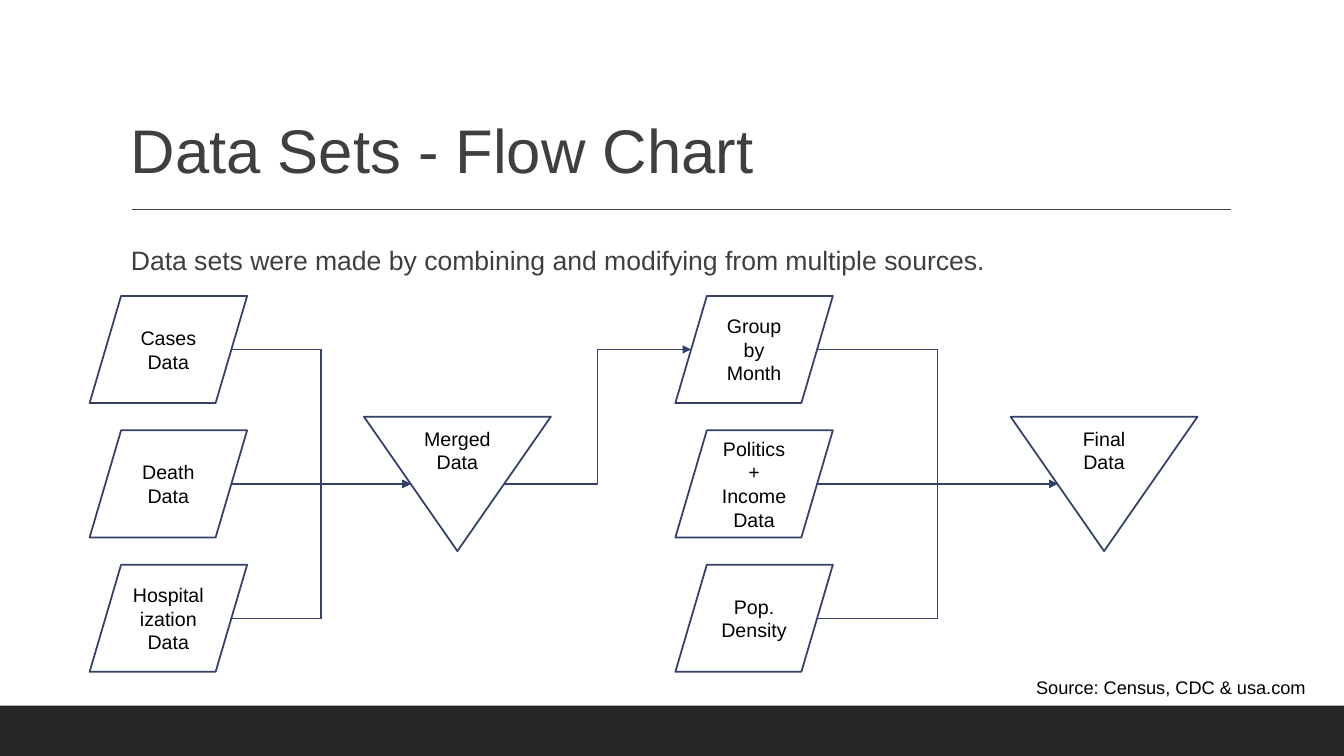
from dataclasses import dataclass

from lxml.etree import SubElement
from pptx import Presentation
from pptx.dml.color import RGBColor
from pptx.enum.shapes import MSO_CONNECTOR, MSO_SHAPE
from pptx.enum.text import MSO_ANCHOR, PP_ALIGN
from pptx.oxml.ns import qn
from pptx.shapes.connector import Connector
from pptx.slide import Slide
from pptx.text.text import TextFrame
from pptx.util import Pt

FONT = "Arial"
OUTLINE = "344068"
HEADING = "3F3F3F"
FOOTER = "262626"
BLACK = "000000"

ROW_TOP, ROW_PITCH = 211.4, 96
DATA_SIZE = (112.5, 76.5)
MERGE_SIZE = (133.5, 96)


@dataclass
class Step:
    label: str
    kind: MSO_SHAPE
    left: float
    top: float
    width: float
    height: float
    slant: float  # share of the width between the box side and the outline

    @property
    def entry(self) -> tuple[float, float]:
        return self.left + self.slant * self.width, self.top + self.height / 2

    @property
    def exit(self) -> tuple[float, float]:
        return self.left + (1 - self.slant) * self.width, self.top + self.height / 2


@dataclass
class Caption:
    text: str
    left: float
    top: float
    width: float
    height: float
    size: float
    color: str
    margin: float = 3.6
    spacing: float = 1.0
    anchor: MSO_ANCHOR = MSO_ANCHOR.TOP


def rgb(color: str) -> RGBColor:
    return RGBColor.from_string(color)


def write(frame: TextFrame, text: str, size: float, color: str,
          align: PP_ALIGN, spacing: float = 1.0) -> None:
    frame.word_wrap = True
    paragraph = frame.paragraphs[0]
    paragraph.alignment = align
    paragraph.line_spacing = spacing
    run = paragraph.add_run()
    run.text = text
    run.font.name = FONT
    run.font.size = Pt(size)
    run.font.color.rgb = rgb(color)


def add_caption(slide: Slide, caption: Caption) -> None:
    box = slide.shapes.add_textbox(Pt(caption.left), Pt(caption.top),
                                   Pt(caption.width), Pt(caption.height))
    frame = box.text_frame
    frame.margin_top = frame.margin_bottom = Pt(caption.margin)
    frame.vertical_anchor = caption.anchor
    write(frame, caption.text, caption.size, caption.color, PP_ALIGN.LEFT, caption.spacing)


def add_step(slide: Slide, step: Step) -> None:
    shape = slide.shapes.add_shape(step.kind, Pt(step.left), Pt(step.top),
                                   Pt(step.width), Pt(step.height))
    shape.shadow.inherit = False
    shape.fill.background()
    shape.line.color.rgb = rgb(OUTLINE)
    shape.line.width = Pt(1.25)
    shape.text_frame.vertical_anchor = MSO_ANCHOR.MIDDLE
    write(shape.text_frame, step.label, 14, BLACK, PP_ALIGN.CENTER)


def add_line(slide: Slide, kind: MSO_CONNECTOR, start: tuple[float, float],
             end: tuple[float, float], color: str) -> Connector:
    line = slide.shapes.add_connector(kind, *map(Pt, start + end))
    line.line.color.rgb = rgb(color)
    line.line.width = Pt(1)
    SubElement(line._element.spPr, qn("a:effectLst"))
    return line


def add_flow(slide: Slide, source: Step, target: Step) -> None:
    """Lead an elbow arrow from the right of source to the left of target."""
    arrow = add_line(slide, MSO_CONNECTOR.ELBOW, source.exit, target.entry, OUTLINE)
    SubElement(arrow.line._get_or_add_ln(), qn("a:tailEnd"), type="triangle")


def data_column(left: float, labels: list[str]) -> list[Step]:
    return [Step(label, MSO_SHAPE.FLOWCHART_DATA, left, ROW_TOP + row * ROW_PITCH,
                 *DATA_SIZE, slant=0.1)
            for row, label in enumerate(labels)]


def merge_step(left: float, label: str) -> Step:
    """Centre a merge triangle on the middle row."""
    top = ROW_TOP + ROW_PITCH + (DATA_SIZE[1] - MERGE_SIZE[1]) / 2
    return Step(label, MSO_SHAPE.FLOWCHART_MERGE, left, top, *MERGE_SIZE, slant=0.25)


def main() -> None:
    presentation = Presentation()
    presentation.slide_width, presentation.slide_height = Pt(960), Pt(540)
    slide = presentation.slides.add_slide(presentation.slide_layouts[6])

    footer = slide.shapes.add_shape(MSO_SHAPE.RECTANGLE, Pt(0), Pt(504), Pt(960), Pt(36))
    footer.shadow.inherit = False
    footer.fill.solid()
    footer.fill.fore_color.rgb = rgb(FOOTER)
    footer.line.fill.background()
    add_line(slide, MSO_CONNECTOR.STRAIGHT, (94.3, 149.5), (879, 149.5), HEADING)

    captions = [
        Caption("Data Sets - Flow Chart", 86.4, 22.3, 792, 114.5, 44, HEADING,
                spacing=0.9, anchor=MSO_ANCHOR.BOTTOM),
        Caption("Data sets were made by combining and modifying from multiple sources.",
                86.4, 166.3, 792, 36.7, 19, HEADING, spacing=1.2),
        Caption("Source: Census, CDC & usa.com", 733, 476, 214.6, 32.4, 13, BLACK, margin=7.2),
    ]
    for caption in captions:
        add_caption(slide, caption)

    health_data = data_column(64, ["Cases Data", "Death Data", "Hospitalization Data"])
    monthly_data = data_column(482.4, ["Group by Month", "Politics + Income Data", "Pop. Density"])
    merged = merge_step(260, "Merged Data")
    final = merge_step(721.9, "Final Data")

    for step in [*health_data, merged, *monthly_data, final]:
        add_step(slide, step)
    for source in health_data:
        add_flow(slide, source, merged)
    add_flow(slide, merged, monthly_data[0])
    for source in monthly_data:
        add_flow(slide, source, final)

    presentation.save("out.pptx")


if __name__ == "__main__":
    main()
